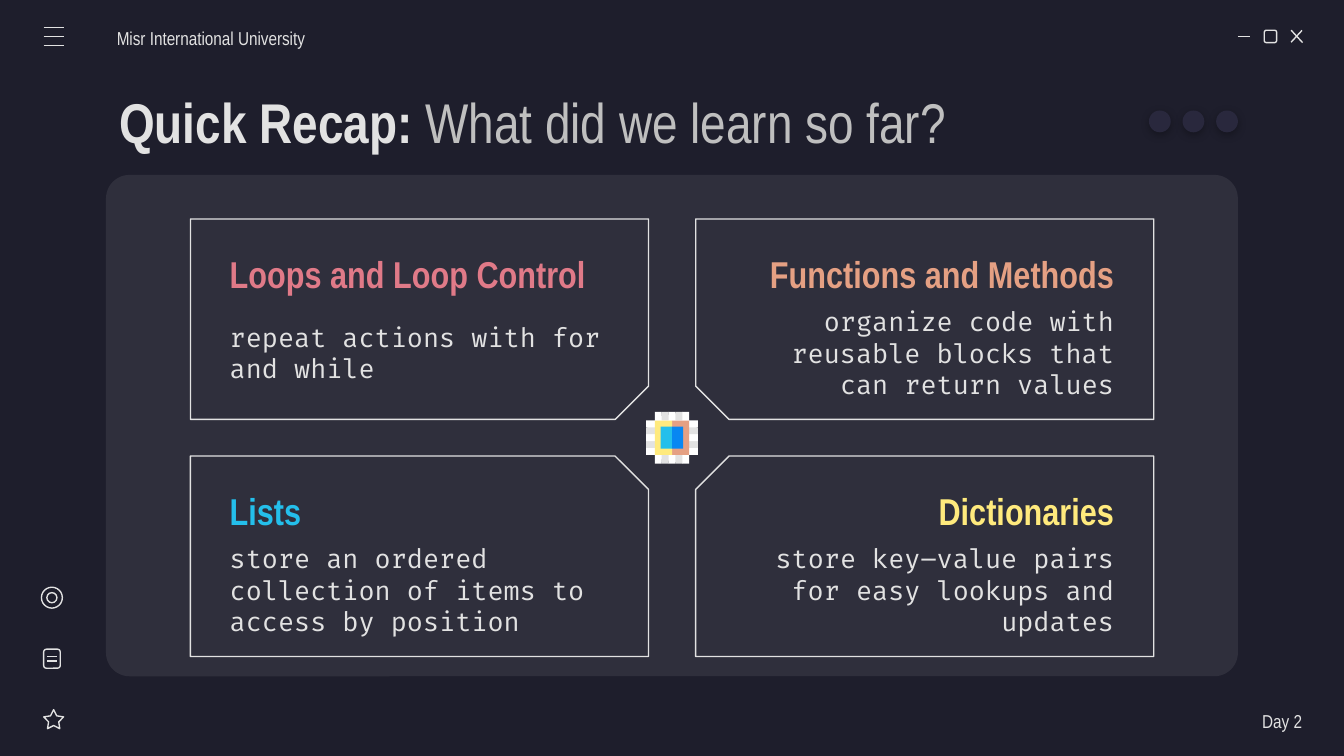
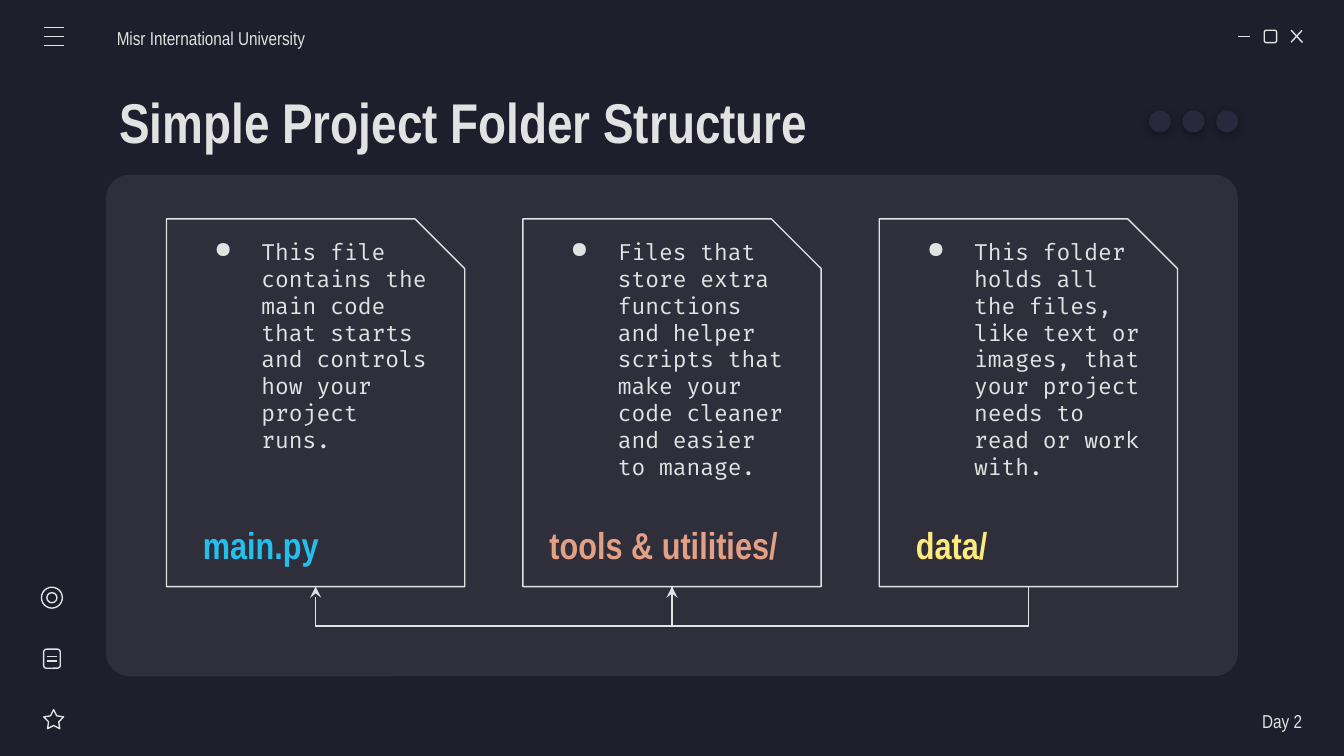
from dataclasses import dataclass
from lxml.etree import SubElement
from pptx import Presentation
from pptx.dml.color import RGBColor
from pptx.enum.shapes import MSO_CONNECTOR, MSO_SHAPE
from pptx.enum.text import MSO_ANCHOR, MSO_AUTO_SIZE, PP_ALIGN
from pptx.oxml.ns import qn
from pptx.util import Pt


@dataclass(frozen=True)
class Theme:
    back: str = "1E1E2C"
    ink: str = "E2E2E2"
    soft: str = "BFBFBF"
    white: str = "FFFFFF"
    dot: str = "29283D"
    rose: str = "E07A88"
    peach: str = "E5A083"
    cyan: str = "24BFEB"
    blue: str = "0887F2"
    gold: str = "FFEA7D"
    head: str = "Arial Narrow"
    code: str = "Fira Code"
    title: float = 30
    label: float = 20
    body: float = 14
    note: float = 12
    small: float = 10
    line: float = 0.75


T = Theme()
SNIP = MSO_SHAPE.SNIP_1_RECTANGLE
ROUND = MSO_SHAPE.ROUNDED_RECTANGLE
TOP = 117.3


def tint(hue):
    return RGBColor.from_string(hue)


def put(item, **vals):
    for key, val in vals.items():
        setattr(item, key, val)


def child(node, tag, **vals):
    return SubElement(node, qn(tag), {key: str(val) for key, val in vals.items()})


def paint(shape, fill=None, line=None):
    shape.shadow.inherit = False
    if fill:
        shape.fill.solid()
        shape.fill.fore_color.rgb = tint(fill)
    else:
        shape.fill.background()
    if line:
        put(shape.line, width=Pt(T.line))
        shape.line.color.rgb = tint(line)
    else:
        shape.line.fill.background()
    return shape


def form(slide, kind, box, fill=None, line=None, adj=None):
    shape = slide.shapes.add_shape(kind, *map(Pt, box))
    if adj is not None:
        shape.adjustments[0] = adj
    return paint(shape, fill, line)


def ink(wire):
    wire.line.width = Pt(T.line)
    wire.line.color.rgb = tint(T.ink)
    child(wire._element.spPr, "a:effectLst")


def rule(slide, *ends):
    ink(slide.shapes.add_connector(MSO_CONNECTOR.STRAIGHT, *map(Pt, ends)))


def text(slide, box, runs, size, face=T.head, align=PP_ALIGN.LEFT,
         anchor=MSO_ANCHOR.MIDDLE, space=None, bullet=False, **pads):
    frame = slide.shapes.add_textbox(*map(Pt, box)).text_frame
    put(frame, word_wrap=True, auto_size=MSO_AUTO_SIZE.NONE, vertical_anchor=anchor, **pads)
    para = frame.paragraphs[0]
    put(para, alignment=align, line_spacing=space)
    if bullet:
        props = para._p.get_or_add_pPr()
        put_in = {"marL": Pt(36), "indent": Pt(-25.2)}
        for key, val in put_in.items():
            props.set(key, str(val))
        child(child(props, "a:buClr"), "a:srgbClr", val=T.ink)
        child(props, "a:buChar", char="●")
    for words, hue, bold in runs:
        run = para.add_run()
        run.text = words
        put(run.font, name=face, size=Pt(size), bold=bold)
        run.font.color.rgb = tint(hue)


def label(slide, box, words, hue, align=PP_ALIGN.LEFT):
    text(slide, box, [(words, hue, True)], T.label, align=align)


def dots(slide):
    for step in range(3):
        dot = form(slide, MSO_SHAPE.OVAL, (615.5 + 18 * step, 59.2, 11.7, 11.7), T.dot)
        glow = child(dot._element.spPr.find(qn("a:effectLst")), "a:outerShdw",
                     blurRad=Pt(4.5), dist=Pt(1.5), dir=5400000, algn="bl", rotWithShape=0)
        child(child(glow, "a:srgbClr", val="000000"), "a:alpha", val=30000)


def icons(slide):
    for y in (14.8, 19.6, 24.4):
        rule(slide, 23.4, y, 34.2, y)
    form(slide, MSO_SHAPE.STAR_5_POINT, (23.4, 380.2, 10.7, 10.2), line=T.ink, adj=0.254)
    form(slide, ROUND, (23.4, 347.8, 8.9, 10.2), line=T.ink)
    for y in (351.7, 354.1):
        rule(slide, 25.1, y, 30.4, y)
    for inset in (0, 2.9):
        side = 11.2 - 2 * inset
        form(slide, MSO_SHAPE.OVAL, (22.2 + inset, 314.6 + inset, side, side), line=T.ink)
    rule(slide, 663.2, 19.4, 669.8, 19.4)
    form(slide, ROUND, (677.3, 16.2, 6.6, 6.6), line=T.ink)
    rule(slide, 691.7, 16.2, 697.8, 22.8)
    rule(slide, 697.5, 16.3, 691.7, 22.6)


def base(deck, title):
    slide = deck.slides.add_slide(deck.slide_layouts[6])
    slide.background.fill.solid()
    slide.background.fill.fore_color.rgb = tint(T.back)
    panel = form(slide, ROUND, (56.8, 93.7, 606.4, 268.6), T.white, adj=0.047)
    hue = panel._element.spPr.find(qn("a:solidFill"))[0]
    child(hue, "a:alpha", val=8000)
    icons(slide)
    text(slide, (56.8, 42.4, 567.4, 45.4), title, T.title)
    text(slide, (62.6, 8.8, 126.7, 21.6), [("Misr International University", T.ink, False)],
         T.small, space=1.15, margin_left=0)
    text(slide, (613.4, 374.6, 84.2, 21.6), [("Day 2", T.ink, False)],
         T.small, align=PP_ALIGN.RIGHT, space=1.15, margin_right=0)
    dots(slide)
    return slide


def facet(slide, x, y, wide, high, hue, left=0, up=0):
    spots = [(x, y), (x - left, y + high / 2), (x, y + high), (x + wide, y + high),
             (x + wide, y), (x + wide / 2, y - up)]
    spots = [(Pt(a), Pt(b)) for a, b in spots]
    path = slide.shapes.build_freeform(*spots[0])
    path.add_line_segments(spots[1:])
    paint(path.convert_to_shape(), hue)


def badge(slide):
    midx, midy, core, full, tip = 360, 234.5, 18.4, 27.8, 1.2
    band = core / 5
    x, y = midx - core / 2, midy - core / 2
    for n in reversed(range(5)):
        hue = T.ink if n % 2 else T.white
        facet(slide, x + band * n, midy - full / 2, band, full, hue, left=tip if n else 0)
    for n in reversed(range(5)):
        hue = T.ink if n % 2 else T.white
        facet(slide, midx - full / 2, y + band * n, full, band, hue, up=tip if n else 0)
    for wide, high, right, left in ((core / 2, core, T.peach, T.gold),
                                    (6, 11.8, T.blue, T.cyan)):
        facet(slide, midx, midy - high / 2, wide, high, right, left=tip)
        facet(slide, midx - wide, midy - high / 2, wide, high, left)


def recap(deck):
    slide = base(deck, [("Quick Recap: ", T.ink, True),
                        ("What did we learn so far?", T.soft, False)])
    cells = [
        (0, 0, "Loops and Loop Control", T.rose, "repeat actions with for and while"),
        (0, 1, "Lists", T.cyan, "store an ordered collection of items to access by position"),
        (1, 0, "Functions and Methods", T.peach,
         "organize code with reusable blocks that can return values"),
        (1, 1, "Dictionaries", T.gold, "store key–value pairs for easy lookups and updates"),
    ]
    for col, row, *_ in cells:
        card = form(slide, SNIP, (102 + 270.7 * col, TOP + 127 * row, 245.4, 107.4), line=T.ink)
        card.rotation = 0 if row else 180
        if col == row:
            card._element.spPr.find(qn("a:xfrm")).set("flipH", "1")
    badge(slide)
    for col, row, name, hue, words in cells:
        x, y = 116 + 275 * col, TOP + 127 * row
        align = PP_ALIGN.RIGHT if col else PP_ALIGN.LEFT
        label(slide, (x, y + 13.2, 213, 31.7), name, hue, align)
        text(slide, (x, y + 49, 213, 45.4), [(words, T.ink, False)], T.body, T.code, align)


def link(slide, start, end):
    drop, thin = 18.7, 0.05
    wire = slide.shapes.add_connector(MSO_CONNECTOR.ELBOW, 0, 0, 0, 0)
    wire.begin_connect(start, 2)
    wire.end_connect(end, 2)
    span = end.left - start.left
    midx = start.left + (start.width + span) // 2
    foot = start.top + start.height
    put(wire, left=midx, top=foot - span // 2, width=Pt(thin), height=span)
    props = wire._element.spPr
    turn = {"rot": "16200000", "flipH": "1"}
    for key, val in turn.items():
        props.find(qn("a:xfrm")).set(key, val)
    shape = props.find(qn("a:prstGeom"))
    guides = shape.find(qn("a:avLst"))
    if guides is None:
        guides = child(shape, "a:avLst")
    child(guides, "a:gd", name="adj1", fmla=f"val {round(drop / thin * 100000)}")
    ink(wire)
    child(props.find(qn("a:ln")), "a:tailEnd", type="stealth")


def folder(deck):
    slide = base(deck, [("Simple Project Folder Structure", T.ink, True)])
    files = [
        ("main.py", T.cyan, 101.6, 95,
         "This file contains the main code that starts and controls how your project runs."),
        ("tools & utilities/", T.peach, 287.3, 152,
         "Files that store extra functions and helper scripts that make your code cleaner "
         "and easier to manage."),
        ("data/", T.gold, 483.6, 95,
         "This folder holds all the files, like text or images, that your project needs "
         "to read or work with."),
    ]
    step = 190.9
    cards = [form(slide, SNIP, (89.2 + step * n, TOP, 159.8, 197), line=T.ink)
             for n in range(len(files))]
    for n, (name, hue, left, wide, words) in enumerate(files):
        text(slide, (97 + step * n, 124, 144, 147.6), [(words, T.ink, False)], T.note,
             T.code, anchor=MSO_ANCHOR.TOP, bullet=True)
        label(slide, (left, 275.8, wide, 31.7), name, hue)
    for start, end in zip(cards, cards[1:]):
        link(slide, start, end)


def main():
    deck = Presentation()
    put(deck, slide_width=Pt(720), slide_height=Pt(405))
    recap(deck)
    folder(deck)
    deck.save("out.pptx")


if __name__ == "__main__":
    main()
